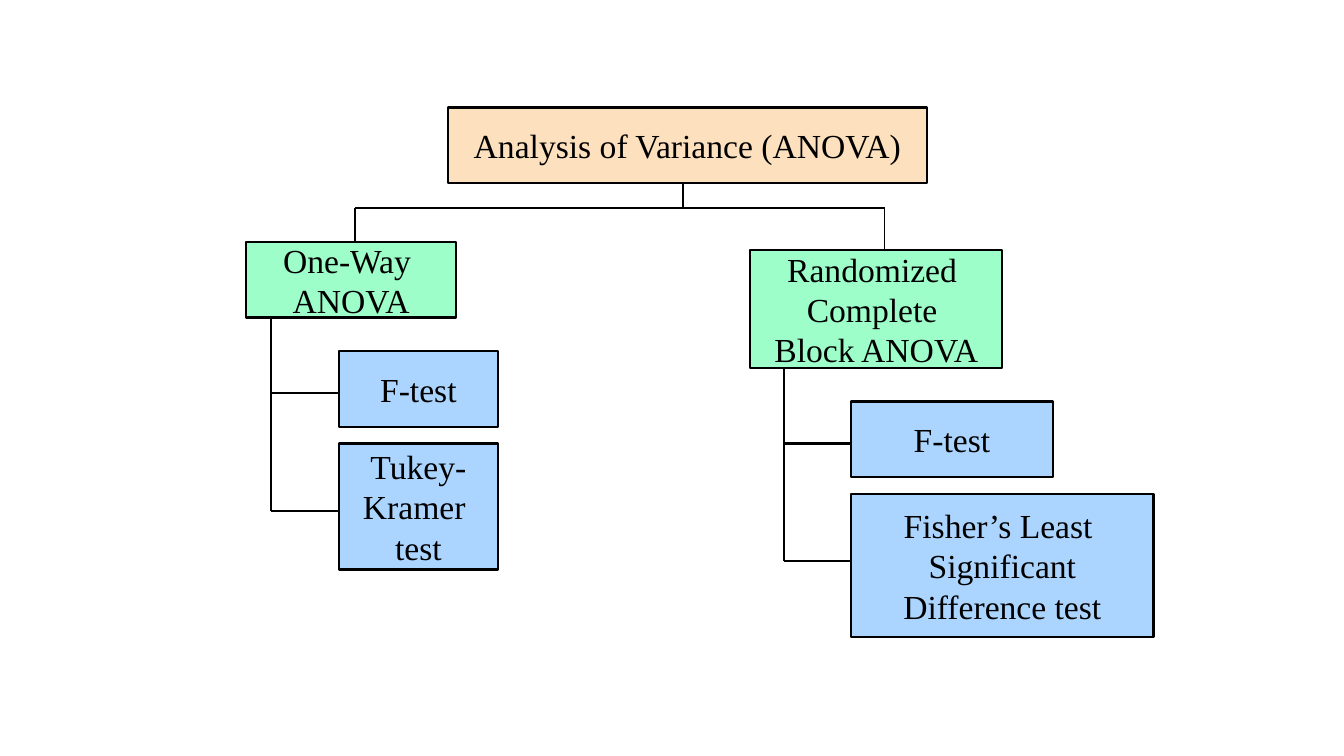
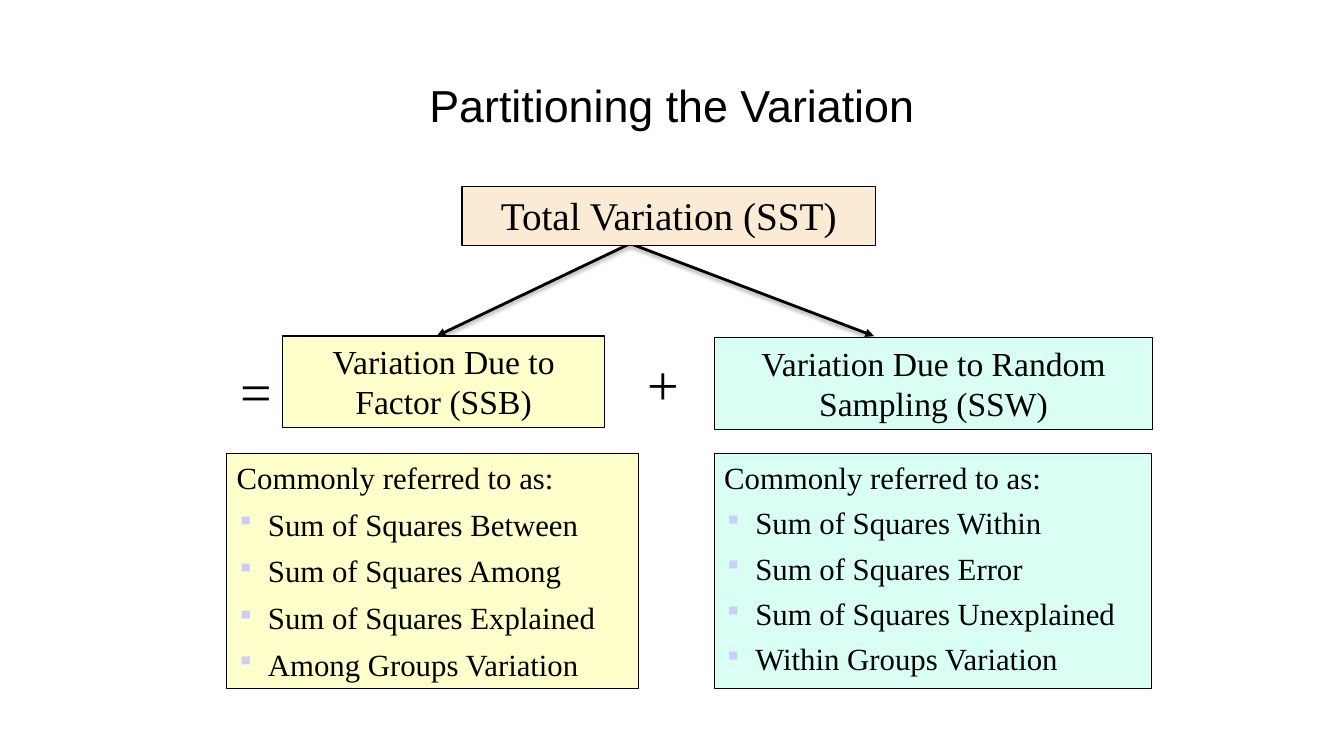
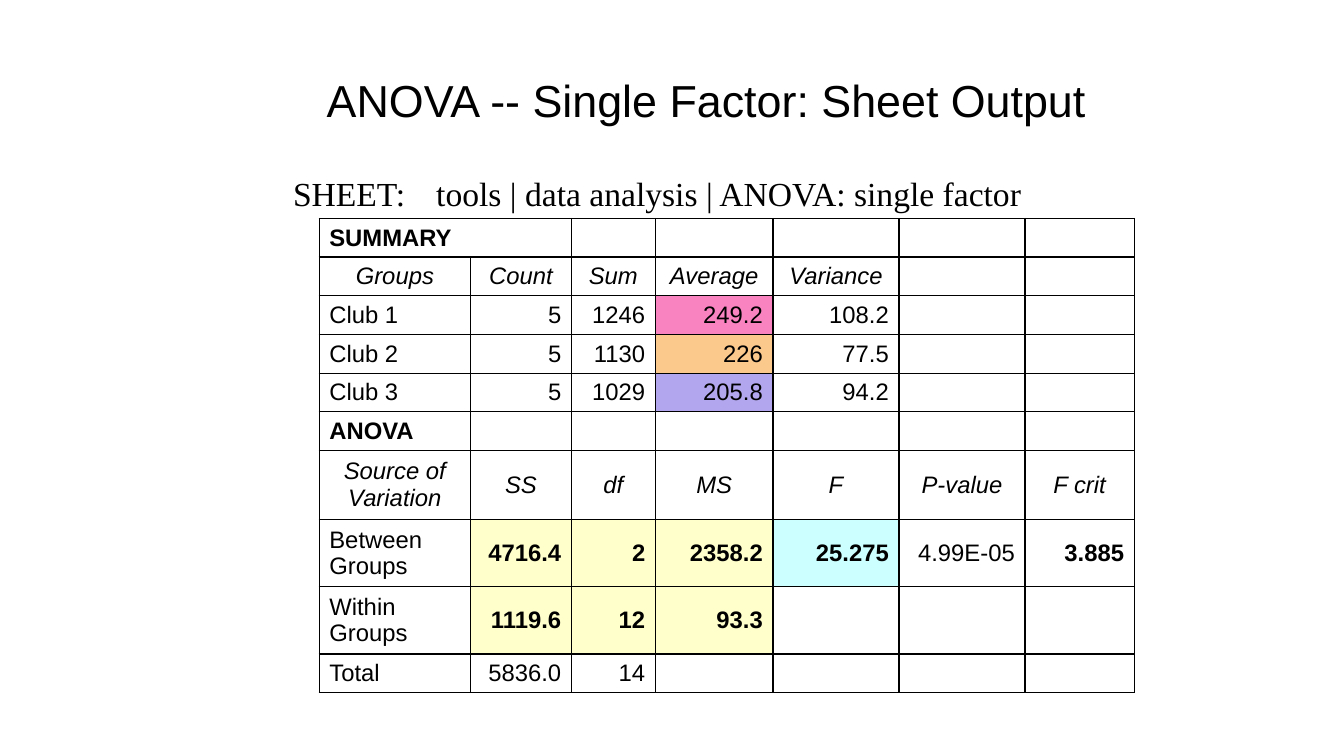
from lxml import etree
from pptx import Presentation, util as u
from pptx.dml.color import RGBColor
from pptx.enum import shapes, text
from pptx.oxml import parse_xml
from pptx.oxml.ns import qn

NS = 'xmlns:a="http://schemas.openxmlformats.org/drawingml/2006/main"'
SERIF, SANS = "Times New Roman", "Arial"
BLACK, WHITE = "000000", "FFFFFF"
PEACH, GREEN, BLUE = "FDE0BD", "9EFEC9", "ABD5FF"
CREAM, YELLOW, MINT, CYAN = "FCEBD4", "FFFFCC", "D9FFF5", "CCFFFF"
LEFT, CENTER, RIGHT = text.PP_ALIGN.LEFT, text.PP_ALIGN.CENTER, text.PP_ALIGN.RIGHT
TOP, MIDDLE = text.MSO_ANCHOR.TOP, text.MSO_ANCHOR.MIDDLE


def paint(fill, color):
    fill.solid()
    fill.fore_color.rgb = RGBColor.from_string(color)


def write(frame, lines, size, name=SERIF, align=CENTER, bold=False, italic=False, **frame_format):
    for key, value in frame_format.items():
        setattr(frame, key, value)
    frame.text = "\n".join(lines)
    look = {"size": u.Pt(size), "name": name, "bold": bold, "italic": italic}
    for paragraph in frame.paragraphs:
        paragraph.alignment = align
        for run in paragraph.runs:
            for key, value in look.items():
                setattr(run.font, key, value)
            paint(run.font.fill, BLACK)


deck = Presentation()
deck.slide_width, deck.slide_height = u.Inches(13.33), u.Inches(7.5)
unit = deck.slide_height / 90
overview = deck.slides.add_slide(deck.slide_layouts[6])
partition = deck.slides.add_slide(deck.slide_layouts[5])
output = deck.slides.add_slide(deck.slide_layouts[5])

titles = [
    (partition, (29, 8, 102, 9), "Partitioning the Variation"),
    (output, (33.6, 8, 101, 7.7), "ANOVA -- Single Factor: Sheet Output"),
]
for slide, place, heading in titles:
    title = slide.shapes.title
    for key, value in zip(("left", "top", "width", "height"), place):
        setattr(title, key, round(value * unit))
    write(title.text_frame, [heading], 32, SANS, vertical_anchor=MIDDLE,
          word_wrap=True, auto_size=text.MSO_AUTO_SIZE.NONE)

branches = [
    (overview, (42.3, 24.8, 105.3, 24.8), 1.5),
    (overview, (81.3, 24.8, 81.3, 21.8), 1.5),
    (overview, (42.3, 28.8, 42.3, 24.8), 1.5),
    (overview, (105.3, 24.8, 105.3, 29.8), 0.75),
]
for trunk, test_edge, top, upper, lower in [(32.3, 40.3, 37.8, 46.8, 60.8),
                                            (93.3, 101.3, 43.8, 52.8, 66.8)]:
    branches.append((overview, (trunk, lower, trunk, top), 1.5))
    for level in (upper, lower):
        branches.append((overview, (trunk, level, test_edge, level), 1.5))
for target in (52, 104):
    branches.append((partition, (75, 29, target, 40), 2))

for slide, ends, weight in branches:
    branch = slide.shapes.add_connector(shapes.MSO_CONNECTOR.STRAIGHT,
                                        *[round(end * unit) for end in ends])
    branch.line.width = u.Pt(weight)
    paint(branch.line.fill, BLACK)
    properties = branch.element.spPr
    effects = etree.SubElement(properties, qn("a:effectLst"))
    if slide is partition:
        etree.SubElement(properties.find(qn("a:ln")), qn("a:tailEnd"), type="triangle")
        effects.append(parse_xml(
            f'<a:outerShdw {NS} blurRad="39370" dist="20320" dir="5400000" rotWithShape="0">'
            f'<a:srgbClr val="{BLACK}"><a:alpha val="38000"/></a:srgbClr></a:outerShdw>'))

between = ["Commonly referred to as:", "Sum of Squares Between", "Sum of Squares Among",
           "Sum of Squares Explained", "Among Groups Variation"]
within = ["Commonly referred to as:", "Sum of Squares Within", "Sum of Squares Error",
          "Sum of Squares Unexplained", "Within Groups Variation"]
boxes = [
    (overview, (53.3, 12.8, 57, 9), PEACH, 1.5, ["Analysis of Variance (ANOVA)"], 24, 0),
    (overview, (40.3, 41.8, 19, 9), BLUE, 1.5, ["F-test"], 24, 0),
    (overview, (101.3, 47.8, 24, 9), BLUE, 1.5, ["F-test"], 24, 0),
    (overview, (40.3, 52.8, 19, 15), BLUE, 1.5, ["Tukey-", "Kramer ", "test"], 24, 0),
    (overview, (101.3, 58.8, 36, 17), BLUE, 1.5,
     ["Fisher’s Least ", "Significant", "Difference test"], 24, 0),
    (overview, (29.3, 28.8, 25, 9), GREEN, 1.5, ["One-Way ", "ANOVA"], 24, 0),
    (overview, (89.3, 29.8, 30, 14), GREEN, 1.5,
     ["Randomized ", "Complete ", "Block ANOVA"], 24, 0),
    (partition, (33.6, 40, 38.4, 10.9), YELLOW, 0.75, ["Variation Due to Factor (SSB)"], 24, 0),
    (partition, (85, 40.2, 52.2, 10.9), MINT, 0.75,
     ["Variation Due to Random Sampling (SSW)"], 24, 0),
    (partition, (55, 22.2, 49.2, 7), CREAM, 1, ["Total Variation (SST)"], 28, 0),
    (partition, (85, 54, 52, 28), MINT, 0.75, within, 22, 6),
    (partition, (27, 54, 49, 28), YELLOW, 0.75, between, 22, 7),
]
for slide, place, color, weight, lines, size, list_gap in boxes:
    box = slide.shapes.add_shape(shapes.MSO_SHAPE.RECTANGLE, *[round(v * unit) for v in place])
    box.shadow.inherit = False
    box.line.width = u.Pt(weight)
    paint(box.fill, color)
    paint(box.line.fill, BLACK)
    write(box.text_frame, lines, size, align=LEFT if list_gap else CENTER,
          word_wrap=slide is partition, vertical_anchor=TOP if slide is partition else MIDDLE)
    for item in box.text_frame.paragraphs[1:] if list_gap else []:
        bullet = item._p.get_or_add_pPr()
        bullet.set("marL", str(u.Inches(0.31)))
        bullet.set("indent", str(-u.Inches(0.31)))
        for part in ('<a:buClr {}><a:srgbClr val="CCCCFF"/></a:buClr>',
                     '<a:buSzPct {} val="80000"/>', '<a:buChar {} char="▪"/>'):
            bullet.append(parse_xml(part.format(NS)))
        item.space_before = u.Pt(list_gap)

labels = [
    (partition, (25.1, 41.9, 10.9, 9.1), "=", 40, CENTER),
    (partition, (75, 41, 8, 9.1), "+", 40, CENTER),
    (output, (33.7, 20, 90, 6), "SHEET:\ttools | data analysis | ANOVA: single factor", 24, LEFT),
]
for slide, place, words, size, align in labels:
    label = slide.shapes.add_textbox(*[round(v * unit) for v in place])
    write(label.text_frame, [words], size, align=align, word_wrap=True)
    if "\t" in words:
        label.text_frame.paragraphs[0]._p.get_or_add_pPr().append(parse_xml(
            f'<a:tabLst {NS}><a:tab pos="{u.Inches(1.42)}" algn="l"/></a:tabLst>'))

results = [
    ["SUMMARY"],
    ["Groups", "Count", "Sum", "Average", "Variance"],
    ["Club 1", "5", "1246", "249.2", "108.2"],
    ["Club 2", "5", "1130", "226", "77.5"],
    ["Club 3", "5", "1029", "205.8", "94.2"],
    ["ANOVA"],
    ["Source of Variation", "SS", "df", "MS", "F", "P-value", "F crit"],
    ["Between Groups", "4716.4", "2", "2358.2", "25.275", "4.99E-05", "3.885"],
    ["Within\nGroups", "1119.6", "12", "93.3"],
    ["Total", "5836.0", "14"],
]
highlights = {(2, 3): "F983C1", (3, 3): "FCC98C", (4, 3): "B2A6EE", (7, 4): CYAN}
highlights.update({(r, c): YELLOW for r in (7, 8) for c in (1, 2, 3)})
widths = [18, 12, 10, 14, 15, 15, 13]
heights = [4.4] * 6 + [8.2, 7.7, 8, 4.4]
anova = output.shapes.add_table(len(heights), len(widths), *[
    round(v * unit) for v in (38, 26, sum(widths), sum(heights))]).table
anova.first_row = anova.horz_banding = False
for column, width in zip(anova.columns, widths):
    column.width = round(width * unit)
for r, (row, height, values) in enumerate(zip(anova.rows, heights, results)):
    row.height = round(height * unit)
    for c, cell in enumerate(row.cells):
        cell.vertical_anchor = MIDDLE
        paint(cell.fill, highlights.get((r, c), WHITE))
        for i, side in enumerate(("lnL", "lnR", "lnT", "lnB")):
            cell._tc.get_or_add_tcPr().insert(i, parse_xml(
                f'<a:{side} {NS} w="12700"><a:solidFill><a:srgbClr val="{BLACK}"/>'
                f'</a:solidFill></a:{side}>'))
        if c < len(values):
            header = r in (1, 6)
            write(cell.text_frame, values[c].split("\n"), 17, SANS,
                  CENTER if header else RIGHT if c else LEFT, italic=header,
                  bold=r in (0, 5) or r in (7, 8) and c not in (0, 5))
        else:
            etree.SubElement(cell.text_frame.paragraphs[0]._p, qn("a:endParaRPr"), sz="1700")
anova.cell(0, 0).merge(anova.cell(0, 1))

deck.save("out.pptx")
